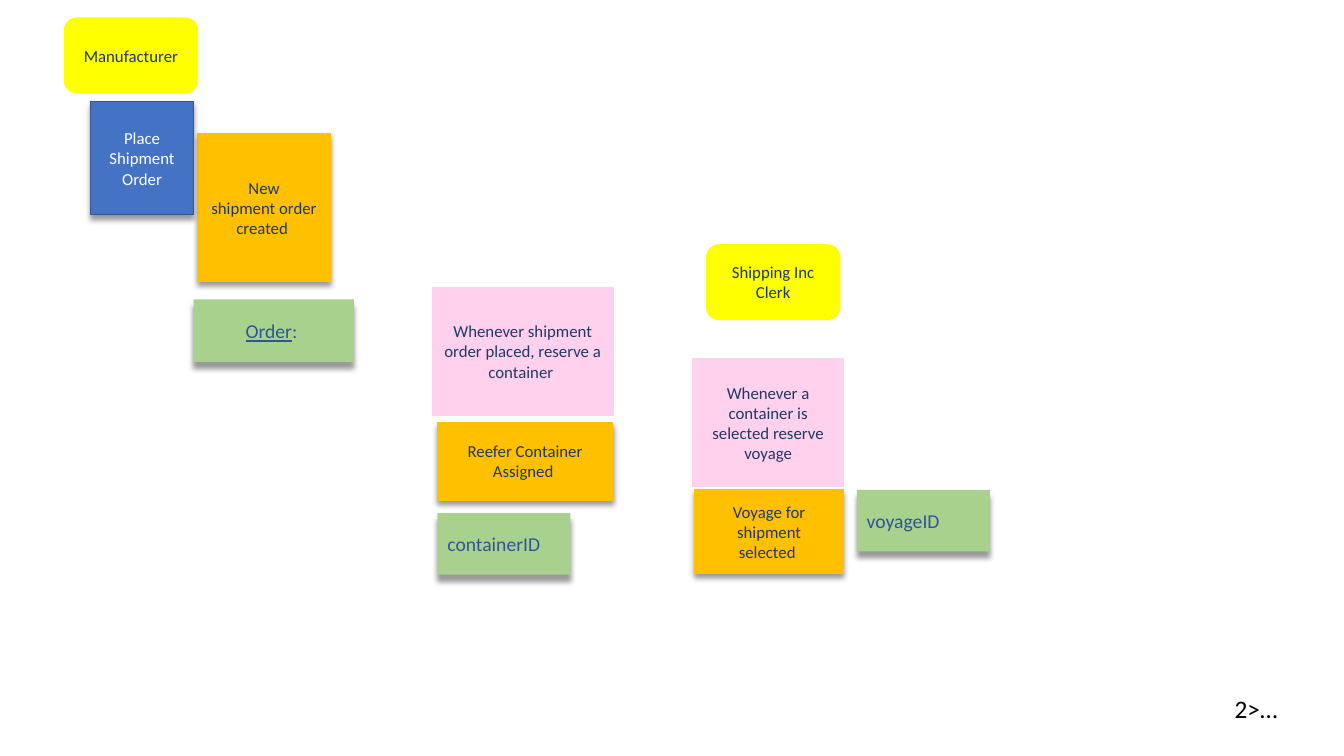
import pptx
import pptx.util
import pptx.dml.color
import pptx.enum.shapes
import pptx.enum.text
import pptx.oxml
import pptx.oxml.ns

RGB = pptx.dml.color.RGBColor
SHAPE = pptx.enum.shapes.MSO_SHAPE
ALIGN = pptx.enum.text.PP_ALIGN

BLACK = RGB(0x00, 0x00, 0x00)
WHITE = RGB(0xFF, 0xFF, 0xFF)
NAVY = RGB(0x20, 0x38, 0x64)
BLUE = RGB(0x44, 0x72, 0xC4)
BLUE_EDGE = RGB(0x32, 0x54, 0x91)
BLUE_TEXT = RGB(0x2F, 0x55, 0x97)
ORANGE = RGB(0xFF, 0xC0, 0x00)
YELLOW = RGB(0xFF, 0xFF, 0x00)
GREEN = RGB(0xA9, 0xD1, 0x8E)
PINK = RGB(0xFF, 0xD1, 0xEC)


class Board:
    """Draws event-storming notes on a grid of 100 columns by 75 rows."""

    font = "Calibri"
    columns, rows = 100, 75

    def __init__(self, prs):
        self.col = prs.slide_width / self.columns
        self.row = prs.slide_height / self.rows
        self.s = prs.slides.add_slide(prs.slide_layouts[6])

    def box(self, x, y, w, h):
        return [round(v) for v in (x * self.col, y * self.row, w * self.col, h * self.row)]

    def style(self, p, size, color, align=ALIGN.LEFT):
        p.alignment = align
        p.font.name = self.font
        p.font.size = pptx.util.Pt(size)
        p.font.color.rgb = color

    def shadow(self, sp, distance):
        effects = sp._element.spPr.find(pptx.oxml.ns.qn("a:effectLst"))
        effects.append(pptx.oxml.parse_xml(
            f'<a:outerShdw {pptx.oxml.ns.nsdecls("a")} blurRad="{pptx.util.Pt(4)}" '
            f'dist="{pptx.util.Pt(distance)}" dir="5400000" rotWithShape="0">'
            '<a:srgbClr val="000000"><a:alpha val="40000"/></a:srgbClr></a:outerShdw>'))

    def note(self, at, lines, fill, edge=None, color=NAVY, size=12,
             align=ALIGN.CENTER, shadow=0, kind=SHAPE.RECTANGLE):
        sp = self.s.shapes.add_shape(kind, *self.box(*at))
        sp.shadow.inherit = False
        sp.fill.solid()
        sp.fill.fore_color.rgb = fill
        if edge is None:
            sp.line.fill.background()
        else:
            sp.line.color.rgb = edge
            sp.line.width = pptx.util.Pt(1)
        if shadow:
            self.shadow(sp, shadow)
        tf = sp.text_frame
        tf.word_wrap = True
        tf.vertical_anchor = pptx.enum.text.MSO_ANCHOR.MIDDLE
        tf.text = "\n".join(lines)
        for p in tf.paragraphs:
            self.style(p, size, color, align)
        return sp

    def actor(self, at, name):
        self.note(at, [name], YELLOW, YELLOW, kind=SHAPE.ROUNDED_RECTANGLE)

    def command(self, at, text):
        self.note(at, [text], BLUE, BLUE_EDGE, WHITE, shadow=3)

    def event(self, at, *lines):
        self.note(at, lines, ORANGE, ORANGE, shadow=3)

    def policy(self, at, text):
        self.note(at, [text], PINK, PINK)

    def data(self, at, text, align=ALIGN.LEFT):
        return self.note(at, [text], GREEN, color=BLUE_TEXT, size=14, align=align, shadow=5)

    def heading_data(self, at, title, rest):
        p = self.data(at, title, ALIGN.CENTER).text_frame.paragraphs[0]
        p.runs[0].font.underline = True
        r = p.add_run()
        r.text = rest

    def label(self, at, text):
        tf = self.s.shapes.add_textbox(*self.box(*at)).text_frame
        tf.word_wrap = False
        tf.auto_size = pptx.enum.text.MSO_AUTO_SIZE.SHAPE_TO_FIT_TEXT
        tf.text = text
        self.style(tf.paragraphs[0], 18, BLACK)


def main():
    prs = pptx.Presentation()
    prs.slide_width = pptx.util.Inches(13.33)
    prs.slide_height = pptx.util.Inches(7.5)
    board = Board(prs)

    board.event((14.7, 13.3, 9.9, 14.6), "New", "shipment order created ")
    board.label((91.13, 68.3, 4.73, 4), "2>…")
    board.actor((4.8, 1.8, 9.9, 7.4), "Manufacturer")
    board.command((6.75, 10.1, 7.65, 11.2), "Place Shipment Order")
    board.heading_data((14.4, 29.7, 11.93, 6.2), "Order", ": ")

    board.event((32.55, 41.9, 13.05, 7.7), "Reefer Container Assigned ")
    board.event((51.68, 48.6, 11.1, 8.3), "Voyage for shipment", "selected ")
    board.policy((32.18, 28.5, 13.43, 12.7),
                 "Whenever shipment order placed, reserve a container ")
    board.policy((51.53, 35.6, 11.25, 12.7),
                 "Whenever a container is selected reserve voyage")
    board.actor((52.58, 24.3, 9.9, 7.4), "Shipping Inc Clerk")
    board.data((63.75, 48.6, 9.9, 6.1), "voyageID")
    board.data((32.55, 50.9, 9.9, 6.1), "containerID")

    prs.save("out.pptx")


if __name__ == "__main__":
    main()
